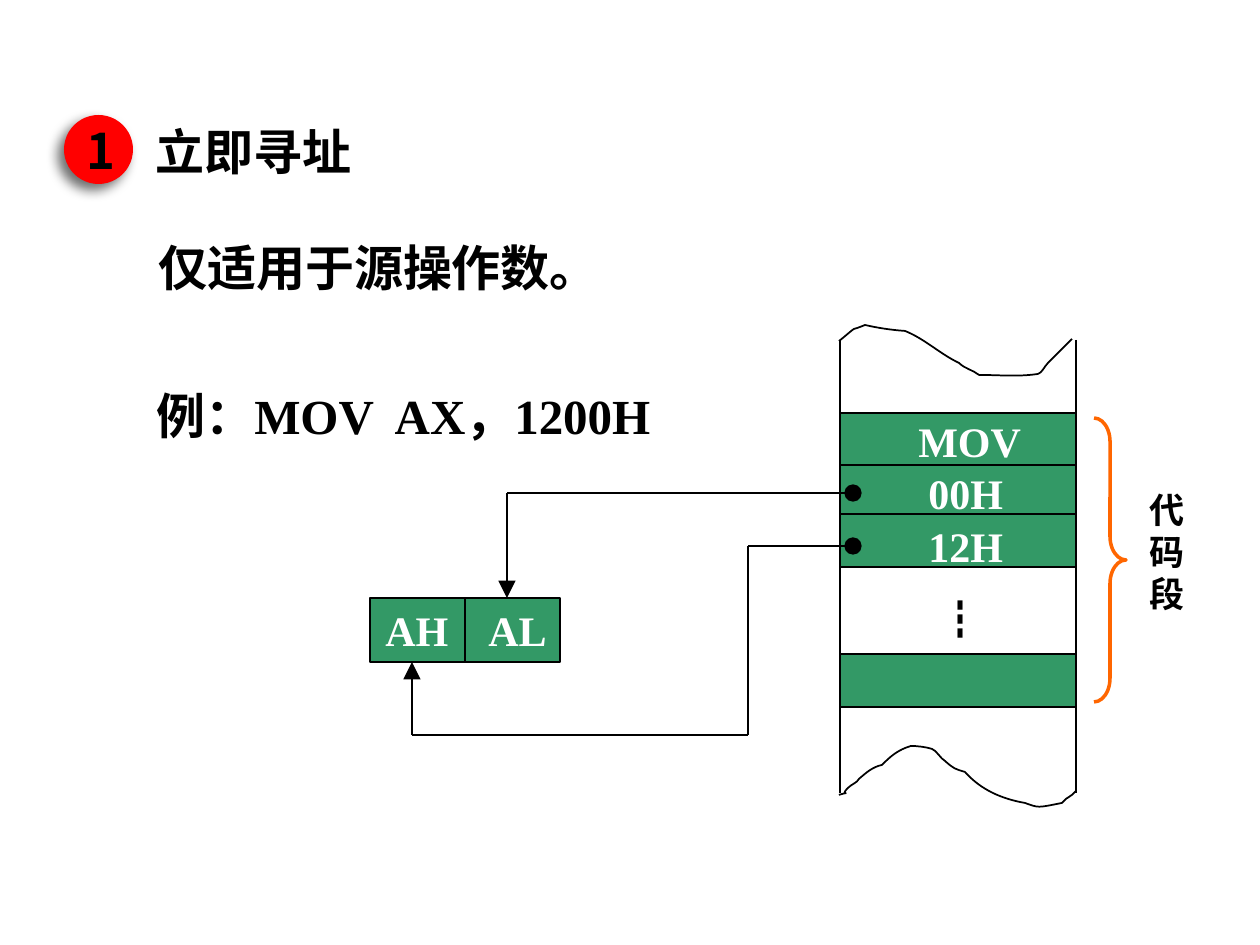
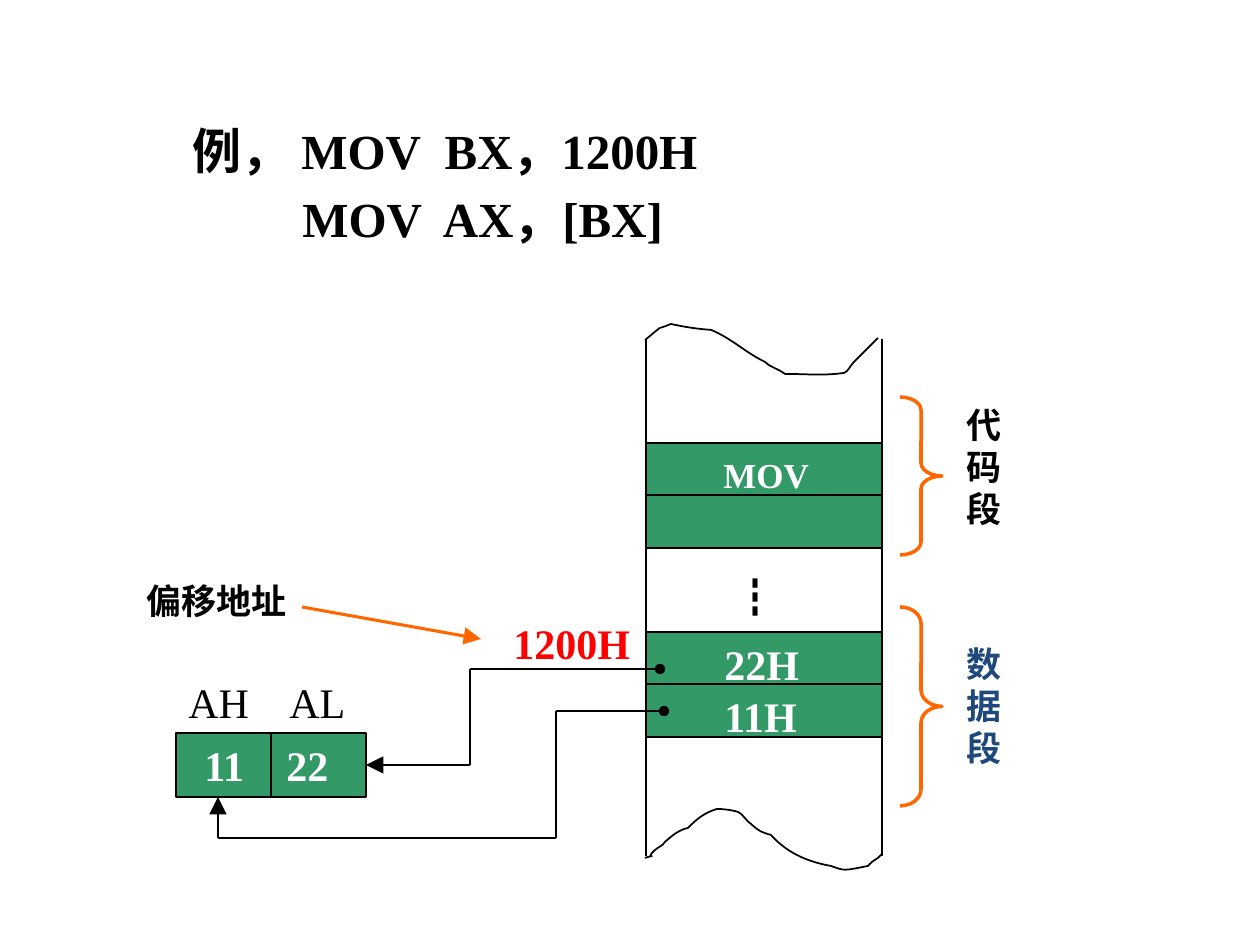
from lxml import etree
from pptx import Presentation
from pptx.dml.color import RGBColor
from pptx.enum.shapes import MSO_CONNECTOR, MSO_SHAPE
from pptx.enum.text import MSO_ANCHOR, PP_ALIGN
from pptx.oxml.ns import qn
from pptx.util import Pt

STRAIGHT = MSO_CONNECTOR.STRAIGHT
RECTANGLE, ELLIPSE, BRACE = MSO_SHAPE.RECTANGLE, MSO_SHAPE.OVAL, MSO_SHAPE.RIGHT_BRACE
MIDDLE, CENTER = MSO_ANCHOR.MIDDLE, PP_ALIGN.CENTER
TOP_SIDE, BOTTOM_SIDE, RIGHT_SIDE = 0, 2, 3

PX = 914400 / 126
BLACK = RGBColor(0x00, 0x00, 0x00)
WHITE = RGBColor(0xFF, 0xFF, 0xFF)
RED = RGBColor(0xFF, 0x00, 0x00)
GREEN = RGBColor(0x33, 0x99, 0x66)
ORANGE = RGBColor(0xFF, 0x66, 0x00)
NAVY = RGBColor(0x1F, 0x49, 0x7D)

SERIF, SANS, CJK = "Times New Roman", "Calibri", "Noto Sans CJK SC"
BASE = {"name": SERIF, "size": Pt(24), "bold": True}
SMALL = {**BASE, "size": Pt(20)}
LARGE = {**BASE, "size": Pt(28)}
TITLE = {**LARGE, "name": SANS}
DIGIT = {**LARGE, "name": CJK}
DOTS = {**BASE, "name": CJK, "bold": False}

# Torn edges of the memory strip: a start, then three points for each curve
TOP_EDGE = [
    (0, 16), (3, 14), (13, 5), (15, 4), (19, 3), (26, 0), (26, 0),
    (39, 3), (52, 5), (66, 6), (86, 14), (101, 29), (120, 38),
    (126, 44), (134, 45), (140, 50), (160, 50), (179, 52), (199, 49),
    (203, 48), (205, 42), (209, 38), (217, 30), (224, 23), (233, 14)]
BOTTOM_EDGE = [
    (0, 49), (16, 44), (-1, 52), (9, 42), (13, 38), (18, 37), (20, 33),
    (28, 26), (34, 21), (43, 19), (52, 10), (59, 4), (72, 0),
    (78, 0), (87, 1), (93, 3), (97, 4), (102, 13), (106, 15),
    (115, 23), (116, 23), (126, 26), (142, 44), (163, 53), (186, 57),
    (200, 62), (198, 62), (223, 57), (224, 57), (225, 54), (227, 53),
    (229, 52), (231, 50), (233, 49), (234, 48), (237, 45), (237, 45)]
EDGE_HEIGHT, CELL_HEIGHT = 62, 53
REGISTER_WIDTH, REGISTER_HEIGHT = 190, 64


def emu(*lengths):
    return [round(length * PX) for length in lengths]


def write(para, text, font, color):
    span = para.add_run()
    span.text = text
    for key, value in font.items():
        setattr(span.font, key, value)
    span.font.color.rgb = color
    east = CJK if font["name"] == CJK else SANS
    span.font._element.find(qn("a:latin")).addnext(
        span.font._element.makeelement(qn("a:ea"), {"typeface": east}))


def label(page, box, lines, font=BASE, color=BLACK, wrap=True, spacing=None, indents=(), tab=None):
    frame = page.shapes.add_textbox(*emu(*box)).text_frame
    frame.word_wrap = wrap
    for index, text in enumerate(lines.split("\n")):
        para = frame.paragraphs[0] if index == 0 else frame.add_paragraph()
        if spacing:
            para.line_spacing = spacing
        props = para._p.get_or_add_pPr()
        if index < len(indents):
            props.set("marL", str(emu(indents[index])[0]))
        if tab:
            stops = etree.SubElement(props, qn("a:tabLst"))
            etree.SubElement(stops, qn("a:tab"), pos=str(emu(tab)[0]), algn="l")
        write(para, text, font, color)


def preset(page, kind, box, fill=None, line=None, width=1):
    shape = page.shapes.add_shape(kind, *emu(*box))
    shape.shadow.inherit = False
    if fill is None:
        shape.fill.background()
    else:
        shape.fill.solid()
        shape.fill.fore_color.rgb = fill
    if line is None:
        shape.line.fill.background()
    else:
        shape.line.color.rgb = line
        shape.line.width = Pt(width)
    return shape


def wire(page, points, color=BLACK, width=1, head=None, tail=None):
    """Draw connected segments; head and tail are (type, size) pairs."""
    links = []
    for start, end in zip(points, points[1:]):
        link = page.shapes.add_connector(STRAIGHT, *emu(*start, *end))
        link.line.color.rgb = color
        link.line.width = Pt(width)
        etree.SubElement(link._element.spPr, qn("a:effectLst"))
        links.append(link)
    for link, tag, mark in ((links[0], "a:headEnd", head), (links[-1], "a:tailEnd", tail)):
        if mark:
            kind, size = mark
            etree.SubElement(link.line._get_or_add_ln(), qn(tag), type=kind, w=size, len=size)
    return links


def torn_edge(page, left, top, edge):
    points = [emu(left + x, top + y) for x, y in edge]
    builder = page.shapes.build_freeform(*points[0])
    builder.add_line_segments(points[1:], close=False)
    shape = builder.convert_to_shape()
    shape.shadow.inherit = False
    shape.fill.background()
    shape.line.color.rgb = BLACK
    shape.line.width = Pt(1)
    # Merge every three line steps into one cubic curve
    steps = list(shape._element.iter(qn("a:lnTo")))
    for first, second, end in zip(steps[::3], steps[1::3], steps[2::3]):
        curve = first.makeelement(qn("a:cubicBezTo"), {})
        first.addprevious(curve)
        for step in (first, second, end):
            curve.append(step[0])
            step.getparent().remove(step)


def memory_strip(page, box, cells, dots):
    """Cells are (top, text, text x, text y, font), relative to the strip."""
    left, top, width, height = box
    for cell_top, *_ in cells:
        preset(page, RECTANGLE, (left, top + cell_top, width, CELL_HEIGHT), GREEN, BLACK)
    for x in (left, left + width):
        wire(page, [(x, top + 15), (x, top + height - 15)])
    torn_edge(page, left - 1, top, TOP_EDGE)
    torn_edge(page, left - 1, top + height - EDGE_HEIGHT, BOTTOM_EDGE)
    for cell_top, text, x, y, font in cells:
        if text:
            label(page, (left + x, top + cell_top + y, 136, 63), text, font, WHITE)
    label(page, (left + dots[0], top + dots[1], 84, 63), "┇", DOTS)


def segment(page, box, name, name_box, color=BLACK):
    """Curly brace with the segment name beside it, relative to the brace."""
    left, top, width, height = box
    brace = preset(page, BRACE, box, line=ORANGE, width=2)
    brace.adjustments[0] = round(height / width / 12, 2)
    brace.adjustments[1] = 0.5
    label(page, (left + name_box[0], top + name_box[1], 63, 139), name, SMALL, color)


def register(page, left, top, text, text_x, tab):
    """Two-byte register: high byte on the left, low byte on the right."""
    body = preset(page, RECTANGLE, (left, top, REGISTER_WIDTH, REGISTER_HEIGHT), GREEN, BLACK)
    middle = left + REGISTER_WIDTH // 2
    divider = wire(page, [(middle, top), (middle, top + REGISTER_HEIGHT)])[0]
    divider.begin_connect(body, TOP_SIDE)
    divider.end_connect(body, BOTTOM_SIDE)
    label(page, (left + text_x, top, 210, 63), text, color=WHITE, tab=tab)
    return body


def numbered_title(page, left, top, number, title):
    badge = preset(page, ELLIPSE, (left, top, 69, 69), RED)
    effects = badge._element.spPr.find(qn("a:effectLst"))
    shadow = etree.SubElement(effects, qn("a:outerShdw"), blurRad=str(Pt(7)), dist=str(Pt(5)),
                              dir="8100000", algn="tr", rotWithShape="0")
    tint = etree.SubElement(shadow, qn("a:srgbClr"), val=str(BLACK))
    etree.SubElement(tint, qn("a:alpha"), val="57000")
    frame = badge.text_frame
    frame.vertical_anchor = MIDDLE
    frame.paragraphs[0].alignment = CENTER
    write(frame.paragraphs[0], number, DIGIT, BLACK)
    label(page, (left + 79, top, 224, 72), title, TITLE, wrap=False)


def immediate_slide(page):
    numbered_title(page, 64, 115, "1", "立即寻址")
    label(page, (146, 231, 472, 72), "仅适用于源操作数。", TITLE, wrap=False)
    label(page, (144, 368, 525, 77), "例：MOV  AX，1200H", LARGE, spacing=1.2)

    # Code segment in memory
    memory_strip(page, (840, 325, 236, 483), [
        (88, "MOV", 66, -4, BASE), (140, "00H", 76, -4, BASE),
        (189, "12H", 76, 0, BASE), (329, "", 0, 0, BASE)], (87, 262))
    segment(page, (1094, 418, 32, 284), "代码段", (43, 64))

    # Bytes copied into AX
    register(page, 370, 598, "AH\tAL", 3, 103)
    ends = {"head": ("oval", "lg"), "tail": ("triangle", "lg")}
    wire(page, [(853, 493), (507, 493), (507, 598)], **ends)
    wire(page, [(853, 546), (748, 546), (748, 735), (412, 735), (412, 662)], **ends)


def indirect_slide(page):
    label(page, (180, 106, 609, 189), "例， MOV  BX，1200H\nMOV  AX，[BX]", LARGE,
          spacing=1.15, indents=(0, 110))

    # Code and data segments in memory
    memory_strip(page, (646, 324, 236, 547), [
        (119, "MOV", 65, 4, SMALL), (171, "", 0, 0, BASE),
        (308, "22H", 66, 0, BASE), (360, "11H", 66, 0, BASE)], (76, 241))
    segment(page, (900, 397, 42, 158), "代码段", (54, 0))
    segment(page, (900, 607, 42, 199), "数据段", (54, 29), NAVY)

    # Offset address
    label(page, (134, 573, 190, 54), "偏移地址", SMALL)
    label(page, (501, 611, 150, 63), "1200H", color=RED)
    wire(page, [(302, 607), (481, 639)], ORANGE, 1.75, tail=("triangle", "lg"))

    # Bytes loaded into AX
    label(page, (176, 670, 210, 63), "AH\tAL", {**BASE, "bold": False}, tab=101)
    body = register(page, 176, 733, "11\t22", 16, 82)
    ends = {"width": 1.5, "head": ("oval", "med"), "tail": ("triangle", "lg")}
    low = wire(page, [(660, 669), (470, 669), (470, 765), (366, 765)], **ends)
    low[-1].end_connect(body, RIGHT_SIDE)
    wire(page, [(664, 711), (556, 711), (556, 838), (218, 838), (218, 797)], **ends)


def main():
    deck = Presentation()
    deck.slide_width, deck.slide_height = emu(1260, 945)
    for build in (immediate_slide, indirect_slide):
        build(deck.slides.add_slide(deck.slide_layouts[6]))
    deck.save("out.pptx")


if __name__ == "__main__":
    main()
